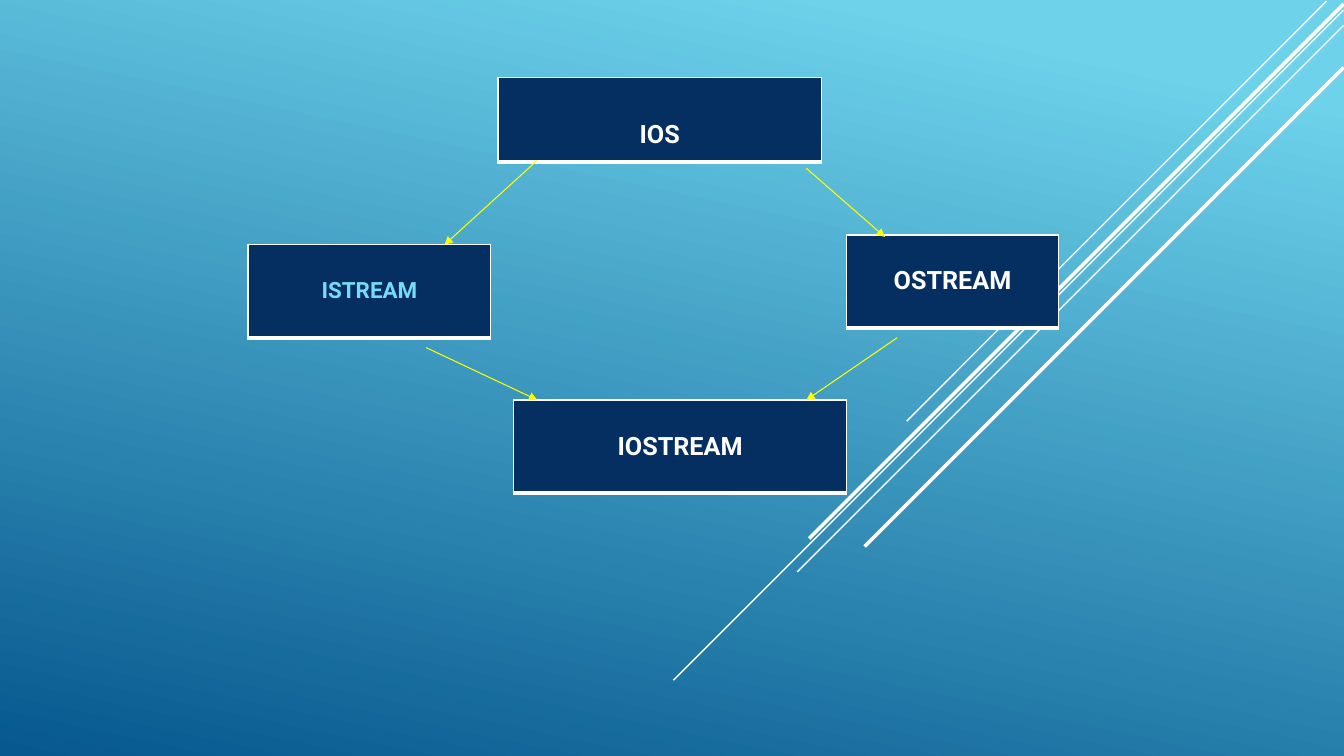
from typing import NamedTuple

from lxml.etree import SubElement
from pptx import Presentation
from pptx.dml.color import RGBColor
from pptx.enum.shapes import MSO_CONNECTOR
from pptx.enum.text import MSO_ANCHOR, PP_ALIGN
from pptx.oxml.ns import qn
from pptx.util import Cm, Pt

WHITE, NAVY, AQUA, YELLOW = "FFFFFF", "052F61", "76DBF4", "FFFF00"
SKY, DEEP_BLUE = "6ED2EB", "06588E"
BORDERS = {"a:lnL": 1, "a:lnR": 1, "a:lnT": 1, "a:lnB": 3}


class Diagonal(NamedTuple):
    """A 45-degree stripe running down and left from (x, y)."""
    x: float
    y: float
    run: float
    width: float


class StreamClass(NamedTuple):
    name: str
    left: float
    top: float
    width: float
    height: float = 2.34
    size: float = 18
    color: str = WHITE
    spacing: float = 1.0


class Inheritance(NamedTuple):
    x1: float
    y1: float
    x2: float
    y2: float


DIAGONALS = [
    Diagonal(33.43, 0.03, 10.58, 1),
    Diagonal(33.86, 0.25, 16.89, 1),
    Diagonal(33.86, 0.64, 13.77, 1),
    Diagonal(33.86, 0.1, 13.47, 2.5),
    Diagonal(33.86, 1.7, 12.07, 2.5),
]
CLASSES = [
    StreamClass("IOS", 12.55, 1.96, 8.15, height=2.13, spacing=2.0),
    StreamClass("ISTREAM", 6.25, 6.17, 6.12, size=16, color=AQUA),
    StreamClass("OSTREAM", 21.34, 5.92, 5.33),
    StreamClass("IOSTREAM", 12.95, 10.08, 8.38),
]
INHERITANCES = [
    Inheritance(13.54, 4.04, 11.2, 6.17),
    Inheritance(20.32, 4.24, 22.3, 5.97),
    Inheritance(10.74, 8.76, 13.54, 10.08),
    Inheritance(22.61, 8.51, 20.32, 10.08),
]


def rgb(value: str) -> RGBColor:
    return RGBColor.from_string(value)


def paint_background(slide) -> None:
    fill = slide.background.fill
    fill.gradient()
    fill.gradient_angle = 258
    for stop, color, position in zip(fill.gradient_stops, (SKY, DEEP_BLUE), (0.1, 1)):
        stop.color.rgb = rgb(color)
        stop.position = position


def draw_line(slide, x1: float, y1: float, x2: float, y2: float,
              color: str, width: float, arrow: bool = False) -> None:
    line = slide.shapes.add_connector(
        MSO_CONNECTOR.STRAIGHT, Cm(x1), Cm(y1), Cm(x2), Cm(y2))
    line.line.color.rgb = rgb(color)
    line.line.width = Pt(width)
    if arrow:
        SubElement(line.line._get_or_add_ln(), qn("a:tailEnd"), type="triangle")
    SubElement(line._element.spPr, qn("a:effectLst"))


def write_text(frame, text: str, *, size: float, color: str, spacing: float) -> None:
    paragraph = frame.paragraphs[0]
    paragraph.alignment = PP_ALIGN.CENTER
    paragraph.line_spacing = spacing
    run = paragraph.add_run()
    run.text = text
    run.font.name = "Roboto"
    run.font.size = Pt(size)
    run.font.bold = True
    run.font.color.rgb = rgb(color)


def add_borders(cell) -> None:
    properties = cell._tc.get_or_add_tcPr()
    for side, width in BORDERS.items():
        border = SubElement(properties, qn(side), w=str(Pt(width)))
        solid = SubElement(border, qn("a:solidFill"))
        SubElement(solid, qn("a:srgbClr"), val=WHITE)


def draw_class(slide, item: StreamClass) -> None:
    """Draw one class of the hierarchy as a single-cell table."""
    table = slide.shapes.add_table(
        1, 1, Cm(item.left), Cm(item.top), Cm(item.width), Cm(item.height)).table
    table.first_row = table.horz_banding = False
    cell = table.cell(0, 0)
    add_borders(cell)
    cell.fill.solid()
    cell.fill.fore_color.rgb = rgb(NAVY)
    cell.vertical_anchor = MSO_ANCHOR.MIDDLE
    write_text(cell.text_frame, item.name, size=item.size,
               color=item.color, spacing=item.spacing)


def main() -> None:
    deck = Presentation()
    deck.slide_width, deck.slide_height = Cm(33.87), Cm(19.05)
    slide = deck.slides.add_slide(deck.slide_layouts[6])
    paint_background(slide)
    for x, y, run, width in DIAGONALS:
        draw_line(slide, x, y, x - run, y + run, WHITE, width)
    for item in CLASSES:
        draw_class(slide, item)
    for ends in INHERITANCES:
        draw_line(slide, *ends, YELLOW, 0.75, arrow=True)
    deck.save("out.pptx")


if __name__ == "__main__":
    main()
